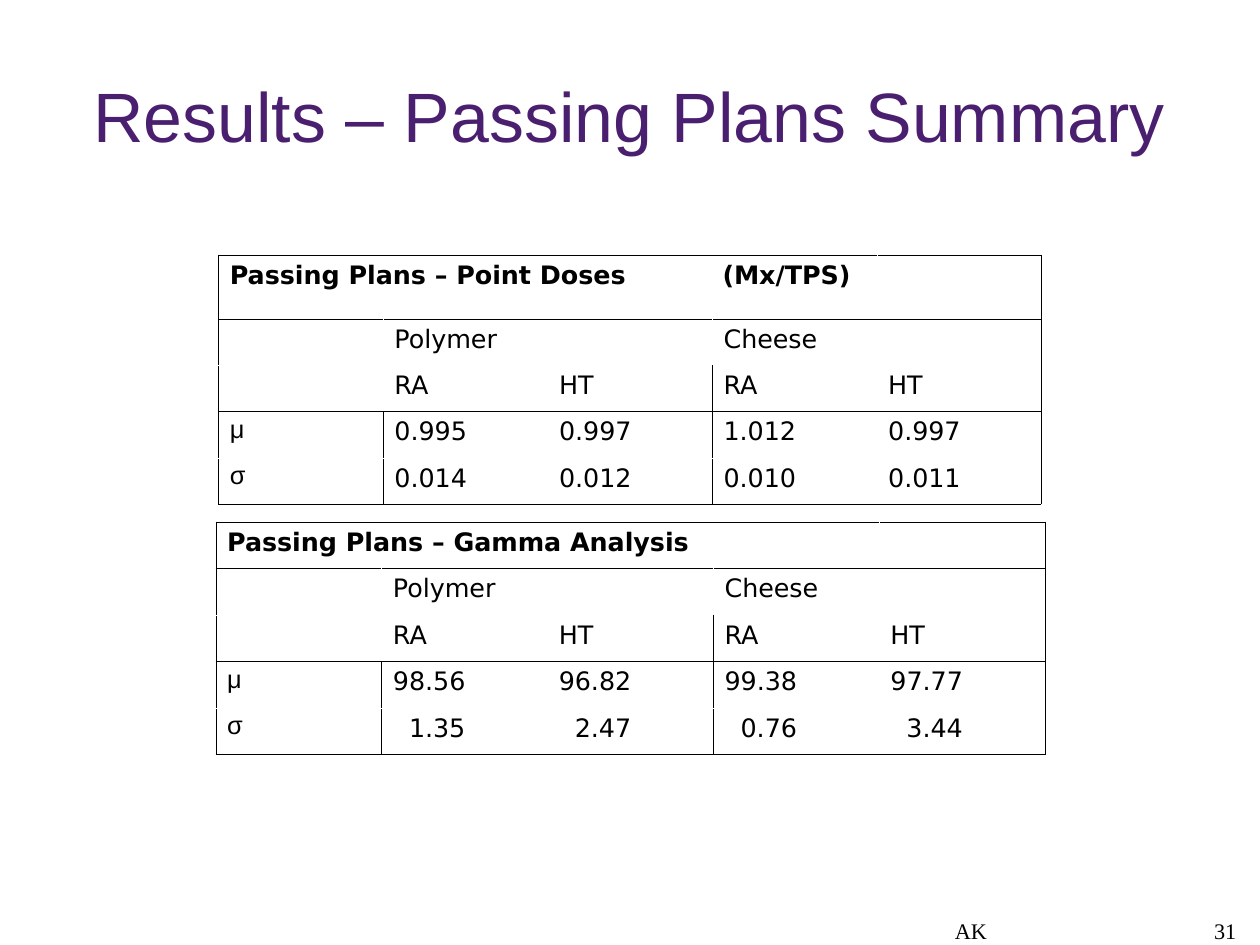
"""Build the passing plans summary slide with its two result tables."""
from dataclasses import dataclass

from lxml import etree
from pptx import Presentation
from pptx import util as u
from pptx.dml.color import RGBColor
from pptx.enum import text
from pptx.oxml import ns

SLIDE_W, SLIDE_H = u.Cm(28), u.Cm(21)
BLACK = RGBColor(0x00, 0x00, 0x00)
WHITE = RGBColor(0xFF, 0xFF, 0xFF)
PURPLE = RGBColor(0x4B, 0x1F, 0x6F)

COLUMNS = 5
RULED_ROWS = {0, 1, 3, 5}
FIRST_RULED_ROW = {0: 0, 1: 3, 3: 2, COLUMNS: 0}
BORDER = u.Pt(0.06)
UNIT_TAB = u.Inches(4.31)
DIGIT_INDENT = u.Inches(0.14)

BODY = {"name": "DejaVu Sans", "size": u.Pt(16), "bold": False}
HEADING = BODY | {"bold": True}
GREEK = BODY | {"name": "Arial"}
FOOTER = {"name": "Times New Roman", "size": u.Pt(14)}
TITLE = {"name": "Arial", "size": u.Pt(44)}


@dataclass(frozen=True)
class Label:
    """Text block; its place is in percent of the slide."""
    words: str
    left: float
    top: float
    width: float
    height: float
    style: dict
    color: RGBColor
    align: text.PP_ALIGN
    anchor: text.MSO_ANCHOR
    spacing: float
    inset_top: float = 0


@dataclass(frozen=True)
class Results:
    """Result table; its place is in percent of the slide."""
    heading: str
    means: tuple
    deviations: tuple
    left: float
    top: float
    width: float
    heading_height: float
    row_height: float
    indented: bool = False


LABELS = (
    Label("AK", 61.23, 93.05, 31.67, 6.89, FOOTER, BLACK,
          text.PP_ALIGN.CENTER, text.MSO_ANCHOR.BOTTOM, 0.95),
    Label("31", 74.8, 93.05, 23.32, 6.89, FOOTER, BLACK,
          text.PP_ALIGN.RIGHT, text.MSO_ANCHOR.BOTTOM, 0.95),
    Label("Results – Passing Plans Summary", 4.98, 3.99, 90, 16.69, TITLE, PURPLE,
          text.PP_ALIGN.CENTER, text.MSO_ANCHOR.MIDDLE, 0.93, 0.04),
)
TABLES = (
    Results("Passing Plans – Point Doses\t(Mx/TPS)",
            ("0.995", "0.997", "1.012", "0.997"), ("0.014", "0.012", "0.010", "0.011"),
            17.34, 26.96, 65.32, 6.77, 4.91),
    Results("Passing Plans – Gamma Analysis",
            ("98.56", "96.82", "99.38", "97.77"), ("1.35", "2.47", "0.76", "3.44"),
            17.12, 55.2, 65.82, 4.93, 4.93, indented=True),
)


def across(percent: float) -> int:
    return int(SLIDE_W * percent / 100)


def down(percent: float) -> int:
    return int(SLIDE_H * percent / 100)


def write(paragraph, words: str, style: dict, color: RGBColor, spacing: float) -> None:
    paragraph.line_spacing = spacing
    run = paragraph.add_run()
    run.text = words
    for attribute, value in style.items():
        setattr(run.font, attribute, value)
    run.font.color.rgb = color


def draw_label(slide, label: Label) -> None:
    frame = slide.shapes.add_textbox(across(label.left), down(label.top),
                                     across(label.width), down(label.height)).text_frame
    layout = {"word_wrap": True, "vertical_anchor": label.anchor, "margin_left": 0,
              "margin_right": 0, "margin_bottom": 0, "margin_top": u.Inches(label.inset_top)}
    for attribute, value in layout.items():
        setattr(frame, attribute, value)
    paragraph = frame.paragraphs[0]
    paragraph.alignment = label.align
    write(paragraph, label.words, label.style, label.color, label.spacing)


def draw_borders(cell, row: int, column: int) -> None:
    ruled = {
        "lnL": row >= FIRST_RULED_ROW.get(column, COLUMNS),
        "lnR": row >= FIRST_RULED_ROW.get(column + 1, COLUMNS),
        "lnT": row in RULED_ROWS,
        "lnB": row + 1 in RULED_ROWS,
    }
    properties = cell._tc.get_or_add_tcPr()
    for side, is_ruled in ruled.items():
        line = etree.SubElement(properties, ns.qn(f"a:{side}"), w=str(BORDER))
        fill = etree.SubElement(line, ns.qn("a:solidFill"))
        etree.SubElement(fill, ns.qn("a:srgbClr"), val=str(BLACK if is_ruled else WHITE))


def add_unit_tab(paragraph) -> None:
    tabs = etree.SubElement(paragraph._p.get_or_add_pPr(), ns.qn("a:tabLst"))
    etree.SubElement(tabs, ns.qn("a:tab"), pos=str(UNIT_TAB), algn="l")


def draw_results(slide, results: Results) -> None:
    rows = (
        (results.heading, "", "", "", ""),
        ("", "Polymer", "", "Cheese", ""),
        ("", "RA", "HT", "RA", "HT"),
        ("μ", *results.means),
        ("σ", *results.deviations),
    )
    heights = [results.heading_height] + [results.row_height] * (len(rows) - 1)
    table = slide.shapes.add_table(len(rows), COLUMNS, across(results.left), down(results.top),
                                   across(results.width), down(sum(heights))).table
    table.first_row = table.horz_banding = False
    for table_row, height in zip(table.rows, heights):
        table_row.height = down(height)
    table.cell(0, 0).merge(table.cell(0, 3))
    table.cell(1, 1).merge(table.cell(1, 2))

    for row, entries in enumerate(rows):
        for column, words in enumerate(entries):
            cell = table.cell(row, column)
            draw_borders(cell, row, column)
            cell.fill.solid()
            cell.fill.fore_color.rgb = WHITE
            if not words:
                continue
            paragraph = cell.text_frame.paragraphs[0]
            if "\t" in words:
                add_unit_tab(paragraph)
            if results.indented and row == 4 and column:
                paragraph._p.get_or_add_pPr().set("marL", str(DIGIT_INDENT))
            greek = column == 0 and row > 0
            style = GREEK if greek else BODY if row else HEADING
            write(paragraph, words, style, BLACK, 0.93 if greek else 1.01)


def main() -> None:
    deck = Presentation()
    deck.slide_width, deck.slide_height = SLIDE_W, SLIDE_H
    slide = deck.slides.add_slide(deck.slide_layouts[6])
    for label in LABELS:
        draw_label(slide, label)
    for results in TABLES:
        draw_results(slide, results)
    deck.save("out.pptx")


if __name__ == "__main__":
    main()
